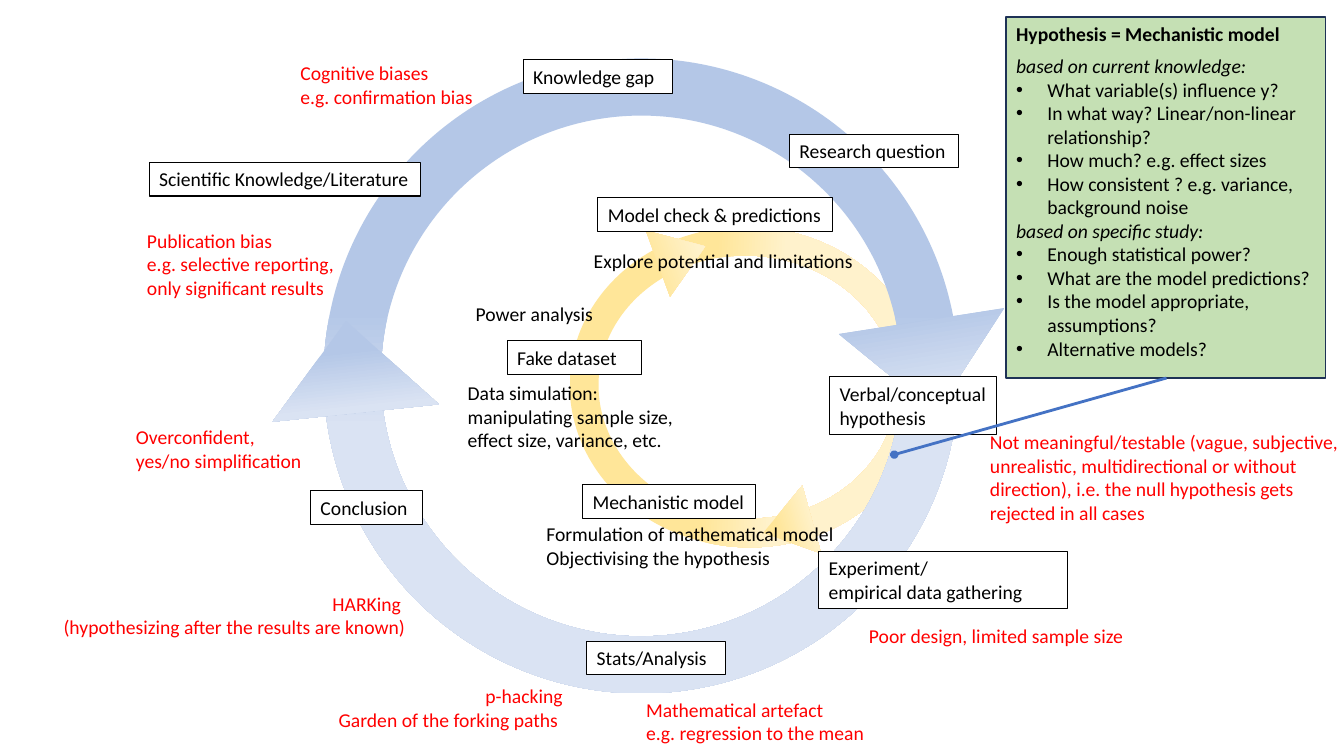
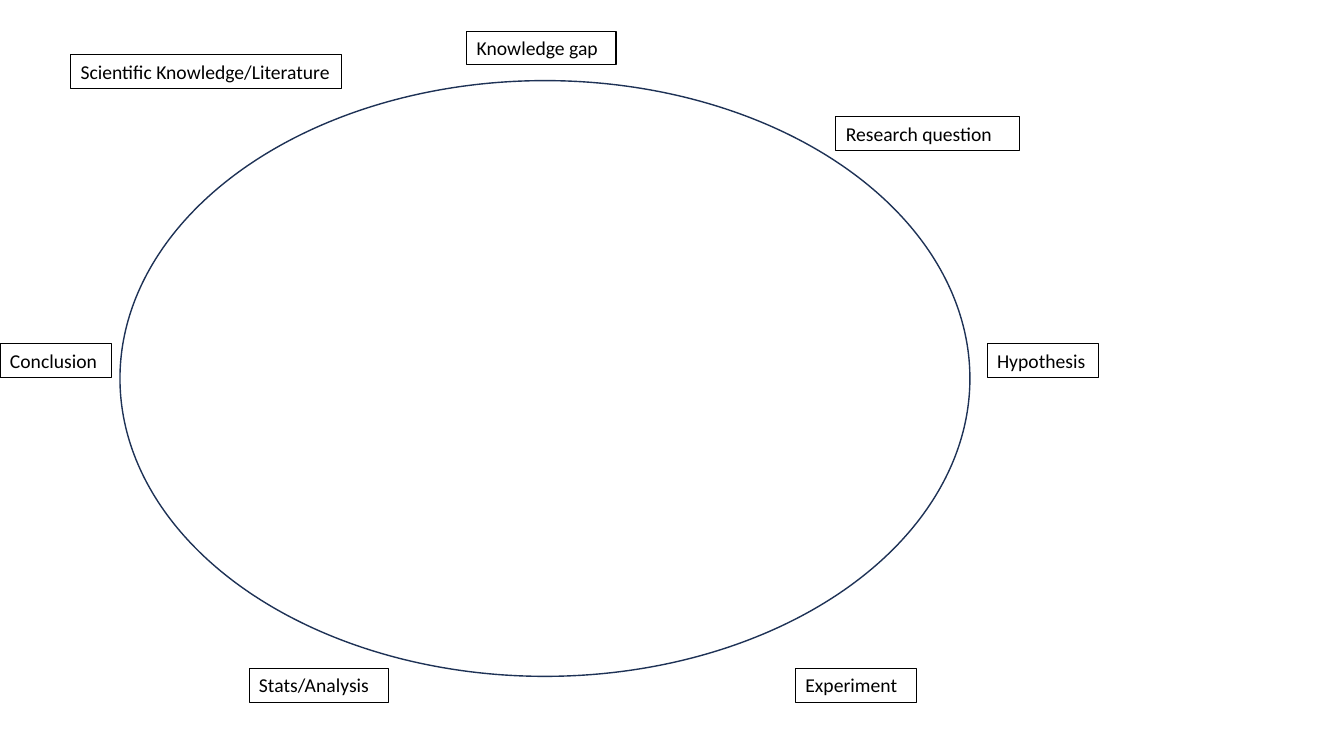
from dataclasses import dataclass
from typing import Any, Optional

from lxml import etree
from pptx import Presentation
from pptx import util as u
from pptx.dml import color
from pptx.enum import shapes, text
from pptx.oxml import ns

COLORS = {
    "white": "FFFFFF", "black": "000000", "warning": "FF0000",
    "blue": "B4C7E7", "pale_blue": "DAE3F3",
    "yellow": "FFE699", "pale_yellow": "FFF2CC",
    "green": "C5E0B4", "navy": "1E3256", "link": "4472C4",
}
FONT = {"name": "Calibri", "size": u.Pt(14)}
FRAME = {"word_wrap": True, "auto_size": text.MSO_AUTO_SIZE.NONE,
         "vertical_anchor": text.MSO_ANCHOR.TOP}
LEFT, RIGHT = text.PP_ALIGN.LEFT, text.PP_ALIGN.RIGHT
SHAPE = shapes.MSO_SHAPE
LINE_HEIGHT, PADDING = 0.235, 0.1
BULLET_INDENT = u.Inches(0.31)


@dataclass
class CyclePart:
    kind: Any
    left: float
    top: float
    width: float
    height: float
    rotation: float
    hue: str
    stops: tuple[float, float]
    angle: float  # counter-clockwise


@dataclass
class Label:
    left: float
    top: float
    width: float
    words: str
    lines: int = 1


@dataclass
class Note(Label):
    ink: str = "warning"
    align: Any = LEFT


@dataclass
class CardLine:
    words: str
    bold: bool = False
    italic: bool = False
    bullet: bool = False
    space_before: float = 0


RING_STOPS, UP_STOPS, DOWN_STOPS = (0.40, 0.58), (0.37, 0.83), (0.12, 0.70)

CYCLES = [
    CyclePart(SHAPE.DONUT, 5.65, 2.25, 3.53, 3.18, 3.3, "yellow", RING_STOPS, 0),
    CyclePart(SHAPE.ISOSCELES_TRIANGLE, 7.46, 4.97, 0.7, 0.5, 254.5, "yellow", UP_STOPS, 270),
    CyclePart(SHAPE.ISOSCELES_TRIANGLE, 6.41, 2.28, 0.7, 0.5, 69.9, "yellow", DOWN_STOPS, 90),
    CyclePart(SHAPE.DONUT, 3.21, 0.58, 6.3, 6.3, 90, "blue", RING_STOPS, 0),
    CyclePart(SHAPE.ISOSCELES_TRIANGLE, 2.65, 3.18, 1.66, 0.92, 354, "blue", UP_STOPS, 270),
    CyclePart(SHAPE.ISOSCELES_TRIANGLE, 8.38, 3.18, 1.66, 0.92, 171.1, "blue", DOWN_STOPS, 90),
]

CYCLE_LABELS = [
    Label(8.12, 5.47, 2.47, "Experiment/\nempirical data gathering", 2),
    Label(5.82, 6.36, 1.38, "Stats/Analysis"),
    Label(3.08, 4.87, 1.11, "Conclusion"),
    Label(7.83, 1.33, 1.68, "Research question"),
    Label(1.48, 1.61, 2.69, "Scientific Knowledge/Literature"),
    Label(5.19, 0.59, 1.48, "Knowledge gap"),
    Label(8.23, 3.74, 1.65, "Verbal/conceptual hypothesis", 2),
    Label(5.78, 4.81, 1.71, "Mechanistic model"),
    Label(5.03, 3.38, 1.33, "Fake dataset"),
    Label(5.93, 1.96, 2.33, "Model check & predictions"),
]

NOTES = [
    Note(6.31, 6.87, 2.56, "Mathematical artefact\ne.g. regression to the mean", 2),
    Note(0, 5.82, 4.12, "HARKing \n(hypothesizing after the results are known)", 2, align=RIGHT),
    Note(1.36, 2.22, 2.33,
         "Publication bias\ne.g. selective reporting, only significant results", 3),
    Note(8.52, 6.14, 3.16, "Poor design, limited sample size"),
    Note(9.72, 4.22, 3.68,
         "Not meaningful/testable (vague, subjective, unrealistic, multidirectional or "
         "without direction), i.e. the null hypothesis gets rejected in all cases", 4),
    Note(1.25, 4.17, 2.53, "Overconfident,\nyes/no simplification", 2),
    Note(2.88, 0.56, 2.01, "Cognitive biases\ne.g. confirmation bias", 2),
    Note(1.53, 6.74, 4.15, "p-hacking\nGarden of the forking paths ", 2, align=RIGHT),
    Note(5.32, 5.13, 3.2,
         "Formulation of mathematical model\nObjectivising the hypothesis", 2, "black"),
    Note(4.54, 3.73, 2.32,
         "Data simulation:\nmanipulating sample size, effect size, variance, etc.", 3, "black"),
    Note(5.79, 2.42, 2.91, "Explore potential and limitations", ink="black"),
    Note(4.62, 2.95, 1.4, "Power analysis", ink="black"),
]

CARD_LINES = [
    CardLine("Hypothesis = Mechanistic model", bold=True),
    CardLine("based on current knowledge:", italic=True, space_before=6),
    CardLine("What variable(s) influence y?", bullet=True),
    CardLine("In what way? Linear/non-linear relationship?", bullet=True),
    CardLine("How much? e.g. effect sizes", bullet=True),
    CardLine("How consistent ? e.g. variance, background noise", bullet=True),
    CardLine("based on specific study:", italic=True),
    CardLine("Enough statistical power?", bullet=True),
    CardLine("What are the model predictions?", bullet=True),
    CardLine("Is the model appropriate, assumptions?", bullet=True),
    CardLine("Alternative models?", bullet=True),
]

OVERVIEW_LABELS = [
    Label(7.89, 6.63, 1.2, "Experiment"),
    Label(2.47, 6.63, 1.38, "Stats/Analysis"),
    Label(0, 3.41, 1.11, "Conclusion"),
    Label(8.29, 1.16, 1.82, "Research question"),
    Label(0.7, 0.54, 2.69, "Scientific Knowledge/Literature"),
    Label(4.63, 0.31, 1.48, "Knowledge gap"),
    Label(9.79, 3.41, 1.11, "Hypothesis"),
]


def rgb(name: str) -> color.RGBColor:
    return color.RGBColor.from_string(COLORS[name])


def apply(target: Any, values: dict[str, Any]) -> None:
    for name, value in values.items():
        setattr(target, name, value)


def text_height(lines: int) -> float:
    return PADDING + LINE_HEIGHT * lines


def add_shape(slide: Any, kind: Any, box: tuple[float, ...], fill: Optional[str] = None,
              line: Optional[str] = None, line_width: float = 0.75) -> Any:
    shape = slide.shapes.add_shape(kind, *map(u.Inches, box))
    shape.shadow.inherit = False
    if fill:
        shape.fill.solid()
        shape.fill.fore_color.rgb = rgb(fill)
    else:
        shape.fill.background()
    if line:
        shape.line.color.rgb = rgb(line)
        shape.line.width = u.Pt(line_width)
    else:
        shape.line.fill.background()
    return shape


def write(shape: Any, lines: list[CardLine], ink: str = "black", align: Any = LEFT) -> None:
    frame = shape.text_frame
    apply(frame, FRAME)
    for index, line in enumerate(lines):
        paragraph = frame.add_paragraph() if index else frame.paragraphs[0]
        paragraph.alignment = align
        run = paragraph.add_run()
        run.text = line.words
        apply(run.font, {**FONT, "bold": line.bold, "italic": line.italic})
        run.font.color.rgb = rgb(ink)
        if line.space_before:
            paragraph.space_before = u.Pt(line.space_before)
        if line.bullet:
            add_bullet(paragraph)


def add_bullet(paragraph: Any) -> None:
    properties = paragraph._p.get_or_add_pPr()
    properties.set("marL", str(BULLET_INDENT))
    properties.set("indent", str(-BULLET_INDENT))
    etree.SubElement(properties, ns.qn("a:buFont"), typeface="Arial")
    etree.SubElement(properties, ns.qn("a:buChar"), char="•")


def plain_lines(words: str) -> list[CardLine]:
    return [CardLine(line) for line in words.split("\n")]


def add_cycle_part(slide: Any, part: CyclePart) -> None:
    shape = add_shape(slide, part.kind, (part.left, part.top, part.width, part.height))
    shape.rotation = part.rotation
    if part.kind == SHAPE.DONUT:
        shape.adjustments[0] = 0.09
    shape.fill.gradient()
    shape.fill.gradient_angle = part.angle
    hues = (part.hue, f"pale_{part.hue}")
    for stop, position, hue in zip(shape.fill.gradient_stops, part.stops, hues):
        stop.position = position
        stop.color.rgb = rgb(hue)


def add_label(slide: Any, label: Label, fill: Optional[str] = None) -> None:
    box = (label.left, label.top, label.width, text_height(label.lines))
    write(add_shape(slide, SHAPE.RECTANGLE, box, fill, "black"), plain_lines(label.words))


def add_note(slide: Any, note: Note) -> None:
    box = (note.left, note.top, note.width, text_height(note.lines))
    shape = slide.shapes.add_textbox(*map(u.Inches, box))
    write(shape, plain_lines(note.words), note.ink, note.align)


def add_pointer(slide: Any, start: tuple[float, float], end: tuple[float, float]) -> None:
    connector = slide.shapes.add_connector(
        shapes.MSO_CONNECTOR.STRAIGHT, *map(u.Inches, start + end))
    connector.line.color.rgb = rgb("link")
    connector.line.width = u.Pt(2)
    etree.SubElement(connector.line._get_or_add_ln(), ns.qn("a:tailEnd"), type="oval")
    etree.SubElement(connector._element.spPr, ns.qn("a:effectLst"))


def build_cycle_slide(slide: Any) -> None:
    # Inner and outer cycles
    for part in CYCLES:
        add_cycle_part(slide, part)
    # Steps and remarks
    for label in CYCLE_LABELS:
        add_label(slide, label, "white")
    for note in NOTES:
        add_note(slide, note)
    # Hypothesis card and its pointer
    card = add_shape(slide, SHAPE.RECTANGLE, (9.98, 0.17, 3.17, 3.58), "green", "navy", 1)
    write(card, CARD_LINES)
    add_pointer(slide, (11.57, 3.75), (8.87, 4.51))


def build_overview_slide(slide: Any) -> None:
    add_shape(slide, SHAPE.OVAL, (1.19, 0.8, 8.43, 5.91), line="navy", line_width=1)
    for label in OVERVIEW_LABELS:
        add_label(slide, label)


def main() -> None:
    presentation = Presentation()
    presentation.slide_width = u.Inches(13.33)
    presentation.slide_height = u.Inches(7.5)
    blank_layout = presentation.slide_layouts[6]
    for build in (build_cycle_slide, build_overview_slide):
        build(presentation.slides.add_slide(blank_layout))
    presentation.save("out.pptx")


if __name__ == "__main__":
    main()
